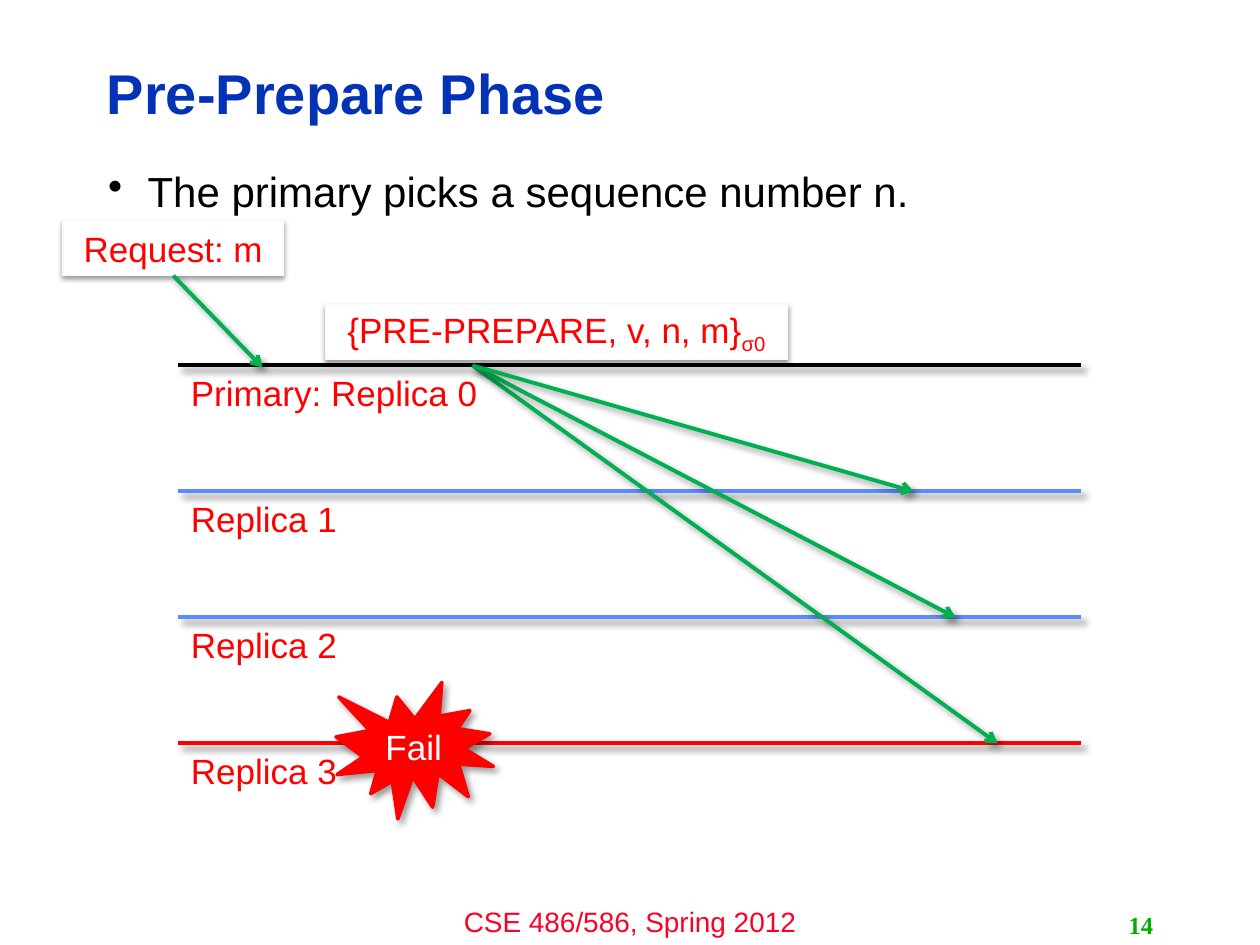
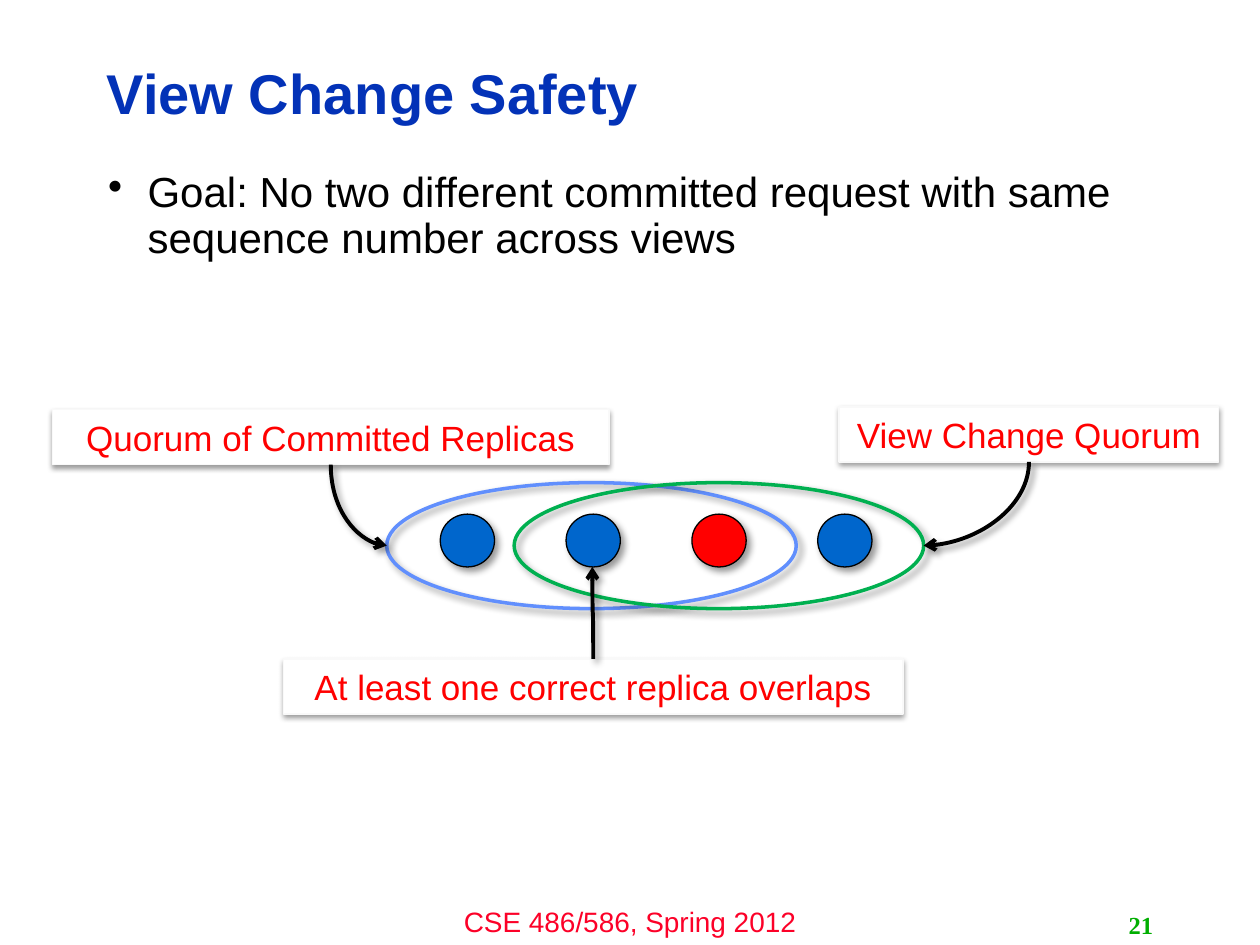
from lxml.etree import SubElement
from pptx import Presentation
from pptx.dml.color import RGBColor
from pptx.enum.shapes import MSO_CONNECTOR as Link, MSO_SHAPE as Preset
from pptx.enum.text import MSO_ANCHOR as Anchor, PP_ALIGN as Align
from pptx.oxml.ns import qn
from pptx.util import Pt

BLACK, WHITE, RED, GREEN = "000000", "FFFFFF", "FF0000", "00B050"
TITLE_BLUE, LINE_BLUE, OVAL_BLUE, DOT_BLUE = "0332B7", "5B8AFB", "618FFD", "0066CC"
FOOTER_RED, NUMBER_GREEN, BOX_EDGE = "FC0128", "00AE00", "F9F9F9"
SOFT_SHADOW = (40, 4, 3, 45)
BOX_SHADOW = (38, 3.1, 1.6, 90)
BOX_HEIGHT = 31.5


def color(value):
    """Turn a hex string into a colour."""
    return RGBColor.from_string(value)


def points(*values):
    """Turn numbers into lengths in points."""
    return [Pt(value) for value in values]


class Deck:
    """Holds the shared style and the current slide."""

    def __init__(self):
        """Start an empty 10 by 7.5 inch presentation."""
        self.show = Presentation()
        self.show.slide_width, self.show.slide_height = points(720, 540)
        self.slide = None

    def start(self, title, goal, number):
        """Add a slide with its title, bullet, footer and number."""
        self.slide = self.show.slides.add_slide(self.show.slide_layouts[6])
        self.text((240, 513.4, 240, 26.6), "CSE 486/586, Spring 2012", 16, FOOTER_RED, Align.CENTER)
        heading = self.text((54, 26, 574.5, 58.5), title, 32, TITLE_BLUE, bold=True, anchor=Anchor.MIDDLE)
        heading.line_spacing = 0.9
        self.bullet(self.text((54.75, 94.5, 604.5, 388), goal, 24, BLACK))
        self.text((516, 517, 150, 23), str(number), 14, NUMBER_GREEN, Align.RIGHT,
                  bold=True, font="Times New Roman", anchor=Anchor.MIDDLE)

    def bullet(self, paragraph):
        """Give a paragraph a hanging bullet."""
        paragraph.line_spacing = 0.9
        properties = paragraph._p.get_or_add_pPr()
        properties.set("marL", str(Pt(22.5)))
        properties.set("indent", str(Pt(-22.5)))
        SubElement(properties, qn("a:buChar"), char="•")

    def run(self, paragraph, words, size, ink, bold=False, font="Arial"):
        """Add one styled run to a paragraph."""
        run = paragraph.add_run()
        run.text = words
        run.font.size, run.font.bold, run.font.name = Pt(size), bold, font
        run.font.color.rgb = color(ink)
        return run

    def text(self, place, words, size, ink, align=Align.LEFT, anchor=Anchor.TOP, **look):
        """Add a text box and return its paragraph."""
        frame = self.slide.shapes.add_textbox(*points(*place)).text_frame
        frame.word_wrap, frame.vertical_anchor = True, anchor
        paragraph = frame.paragraphs[0]
        paragraph.alignment = align
        self.run(paragraph, words, size, ink, **look)
        return paragraph

    def shadow(self, part, opacity, blur, distance, angle):
        """Give a shape or connector an outer shadow."""
        effects = SubElement(part.element.spPr, qn("a:effectLst"))
        outer = SubElement(effects, qn("a:outerShdw"), blurRad=str(Pt(blur)), dist=str(Pt(distance)),
                           dir=str(angle * 60000), rotWithShape="0")
        shade = SubElement(outer, qn("a:srgbClr"), val=BLACK)
        SubElement(shade, qn("a:alpha"), val=str(opacity * 1000))

    def shape(self, preset, place, fill, edge, width, words="", ink=RED, shadow=SOFT_SHADOW):
        """Add a preset shape with optional centred text."""
        shape = self.slide.shapes.add_shape(preset, *points(*place))
        if fill:
            shape.fill.solid()
            shape.fill.fore_color.rgb = color(fill)
        else:
            shape.fill.background()
        shape.line.color.rgb, shape.line.width = color(edge), Pt(width)
        self.shadow(shape, *shadow)
        if words:
            paragraph = shape.text_frame.paragraphs[0]
            paragraph.alignment = Align.CENTER
            self.run(paragraph, words, 20, ink)
        return shape

    def callout(self, left, top, width, words):
        """Add a white message box with red text."""
        return self.shape(Preset.RECTANGLE, (left, top, width, BOX_HEIGHT), WHITE, BOX_EDGE, 0.75,
                          words, shadow=BOX_SHADOW)

    def line(self, start, end, ink, arrow=False, kind=Link.STRAIGHT):
        """Add a connector, with an arrowhead on request."""
        line = self.slide.shapes.add_connector(kind, *points(*start, *end))
        line.line.color.rgb, line.line.width = color(ink), Pt(2.25)
        if arrow:
            SubElement(line.line._get_or_add_ln(), qn("a:tailEnd"), type="arrow")
        self.shadow(line, *SOFT_SHADOW)
        return line

    def curve(self, start, end, turn, preset):
        """Add a curved arrow that leaves its start vertically, turned by 90 or 270 degrees."""
        (x1, y1), (x2, y2) = start, end
        side = 1 if turn == 90 else -1
        middle_x, middle_y = (x1 + x2) / 2, (y1 + y2) / 2
        across, down = side * (y2 - y1) / 2, side * (x1 - x2) / 2
        curve = self.line((middle_x - across, middle_y - down), (middle_x + across, middle_y + down),
                          BLACK, True, Link.CURVE)
        properties = curve.element.spPr
        properties.find(qn("a:xfrm")).set("rot", str(turn * 60000))
        properties.find(qn("a:prstGeom")).set("prst", preset)


def pre_prepare(deck):
    """Draw the message flow from the primary to the replicas."""
    deck.start("Pre-Prepare Phase", "The primary picks a sequence number n.", 14)
    replicas = [("Primary: Replica 0", BLACK), ("Replica 1", LINE_BLUE),
                ("Replica 2", LINE_BLUE), ("Replica 3", RED)]
    first, step = 208.8, 72
    for index, (replica, ink) in enumerate(replicas):
        level = first + step * index
        deck.line((102, level), (618, level), ink)
        deck.text((102, level, 192, BOX_HEIGHT), replica, 20, RED)
    for index in (3, 2, 1):
        deck.line((270, first), (498 + 24 * index, first + step * index), GREEN, True)
    request = deck.callout(36, 126, 126, "Request: m")
    deck.line((99, 157.5), (150, 210), GREEN, True).begin_connect(request, 2)
    message = deck.callout(186, 174, 264, "{PRE-PREPARE, v, n, m}")
    signature = deck.run(message.text_frame.paragraphs[0], "σ0", 20, RED)
    signature._r.get_or_add_rPr().set("baseline", "-25000")
    deck.shape(Preset.EXPLOSION1, (192, 390, 90, 78), RED, RED, 2, "Fail", WHITE)


def view_change(deck):
    """Draw the two overlapping quorums."""
    deck.start("View Change Safety",
               "Goal: No two different committed request with same sequence number across views", 21)
    for index, fill in enumerate((DOT_BLUE, DOT_BLUE, RED, DOT_BLUE)):
        deck.shape(Preset.OVAL, (251.6 + 71.9 * index, 293.8, 31, 30.2), fill, BLACK, 0.75)
    for left, edge in ((221, OVAL_BLUE), (293.8, GREEN)):
        deck.shape(Preset.OVAL, (left, 275.8, 234, 72), None, edge, 2)
    deck.callout(30, 234, 318, "Quorum of Committed Replicas")
    deck.callout(162, 376.5, 354, "At least one correct replica overlaps")
    deck.callout(479.5, 232.5, 217, "View Change Quorum")
    deck.curve((339, 376.5), (338.5, 324), 270, "curvedConnector3")
    deck.curve((189, 265.5), (221, 311.8), 270, "curvedConnector2")
    deck.curve((588, 264), (527.8, 311.8), 90, "curvedConnector2")


def main():
    """Build both slides and save them."""
    deck = Deck()
    pre_prepare(deck)
    view_change(deck)
    deck.show.save("out.pptx")


if __name__ == "__main__":
    main()
